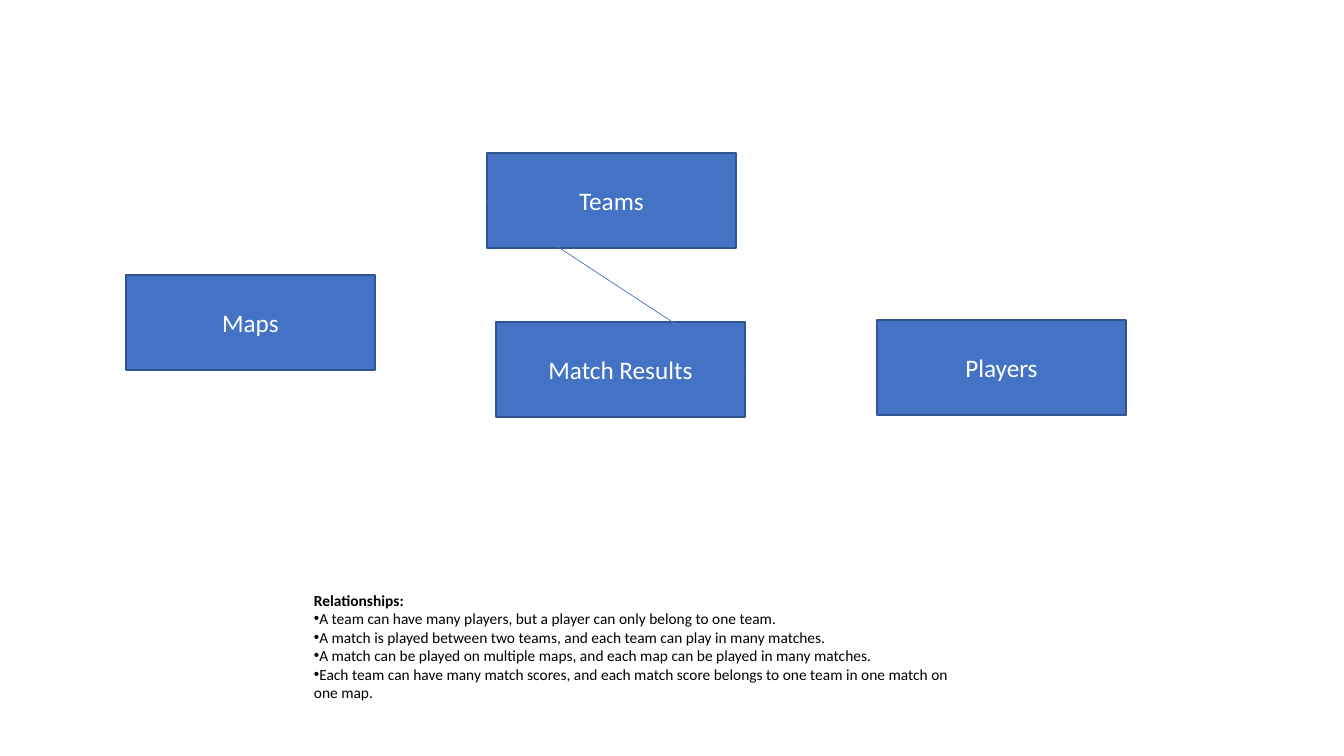
from lxml.etree import SubElement
from pptx import Presentation
from pptx.dml.color import RGBColor
from pptx.enum.shapes import MSO_CONNECTOR as CONN, MSO_SHAPE as SHAPE
from pptx.enum.text import MSO_ANCHOR as ANCHOR, PP_ALIGN as ALIGN
from pptx.oxml.ns import qn
from pptx.util import Pt

SCALE = 914400 / 100.8
BLUE, EDGE, WHITE, BLACK = "4472C4", "325491", "FFFFFF", "000000"
BOX_W, BOX_H = 249, 95
RIGHT, LEFT = 3, 1


def px(n):
    return round(n * SCALE)


def rgb(value):
    return RGBColor.from_string(value)


def add_text(p, text, size=18, color=BLACK, bold=False, align=ALIGN.LEFT, bullet=None):
    p.alignment = align
    if bullet:
        pPr = p._p.get_or_add_pPr()
        SubElement(pPr, qn("a:buFont"), typeface="Arial")
        SubElement(pPr, qn("a:buChar"), char=bullet)
    r = p.add_run()
    r.text = text
    r.font.name, r.font.size, r.font.bold = "Calibri", Pt(size), bold
    r.font.color.rgb = rgb(color)


def entity(s, name, x, y):
    sp = s.shapes.add_shape(SHAPE.RECTANGLE, px(x), px(y), px(BOX_W), px(BOX_H))
    sp.shadow.inherit = False
    sp.fill.solid()
    sp.fill.fore_color.rgb = rgb(BLUE)
    sp.line.color.rgb = rgb(EDGE)
    sp.line.width = Pt(1)
    tf = sp.text_frame
    tf.word_wrap = True
    tf.vertical_anchor = ANCHOR.MIDDLE
    add_text(tf.paragraphs[0], name, color=WHITE, align=ALIGN.CENTER)
    return sp


def link(s, start, start_site, end, end_site):
    cn = s.shapes.add_connector(CONN.STRAIGHT, 0, 0, 0, 0)
    cn.begin_connect(start, start_site)
    cn.end_connect(end, end_site)
    cn.line.color.rgb = rgb(BLUE)
    cn.line.width = Pt(0.5)
    SubElement(cn._element.spPr, qn("a:effectLst"))


def diagram(s, x, y):
    results = entity(s, "Match Results", x + 370, y + 169)
    teams = entity(s, "Teams", x + 361, y)
    link(s, results, RIGHT, teams, LEFT)
    entity(s, "Players", x + 751, y + 167)
    entity(s, "Maps", x, y + 122)


def relationships(s, x, y, w, h):
    tf = s.shapes.add_textbox(px(x), px(y), px(w), px(h)).text_frame
    tf.word_wrap = True
    add_text(tf.paragraphs[0], "Relationships:", size=11, bold=True)
    for rule in (
        "A team can have many players, but a player can only belong to one team.",
        "A match is played between two teams, and each team can play in many matches.",
        "A match can be played on multiple maps, and each map can be played in many matches.",
        "Each team can have many match scores, and each match score belongs to one team in one match on one map.",
    ):
        add_text(tf.add_paragraph(), rule, size=11, bullet="•")


prs = Presentation()
prs.slide_width, prs.slide_height = px(1344), px(756)
s = prs.slides.add_slide(prs.slide_layouts[6])
diagram(s, 126, 153)
relationships(s, 304, 586, 672, 122)
prs.save("out.pptx")
